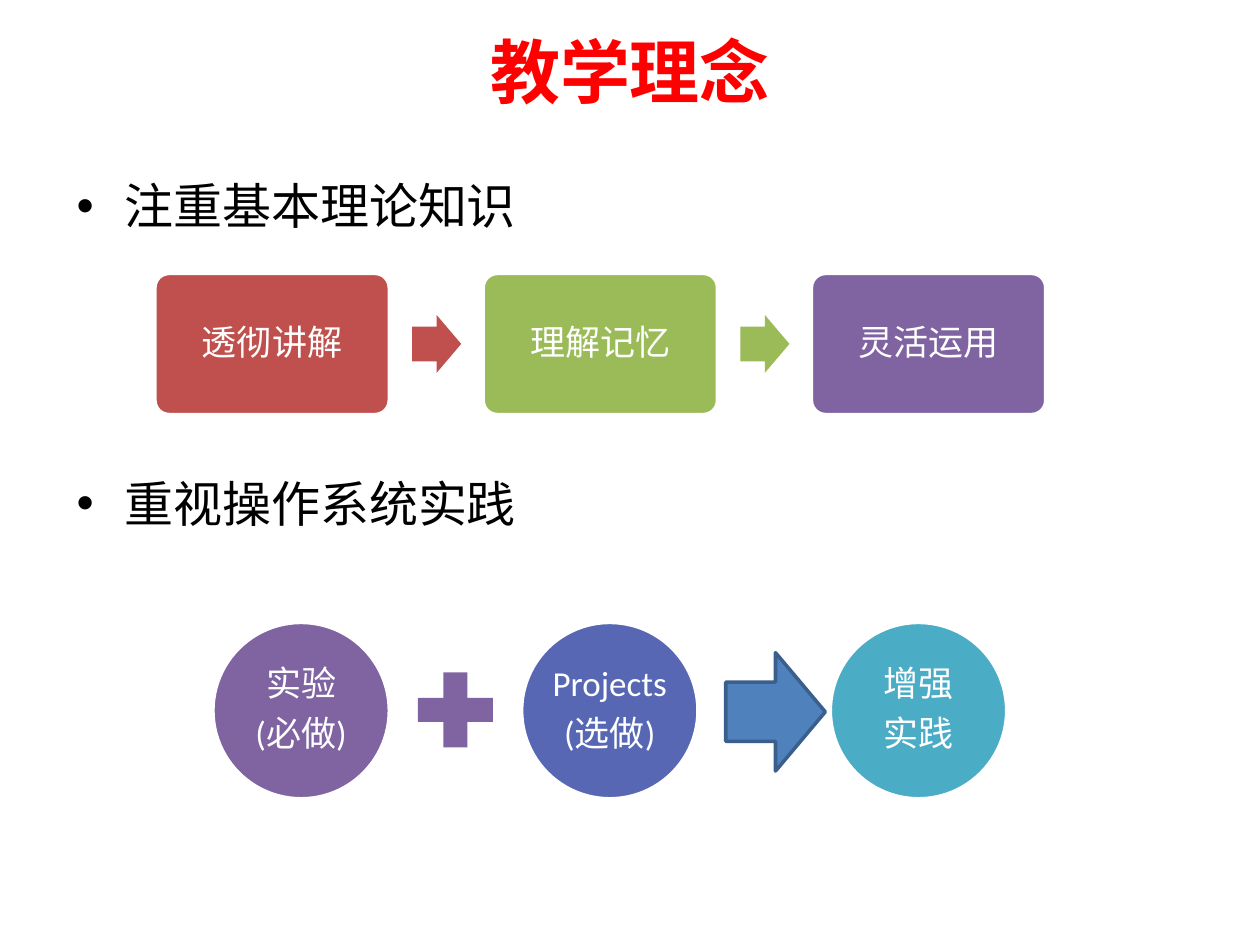
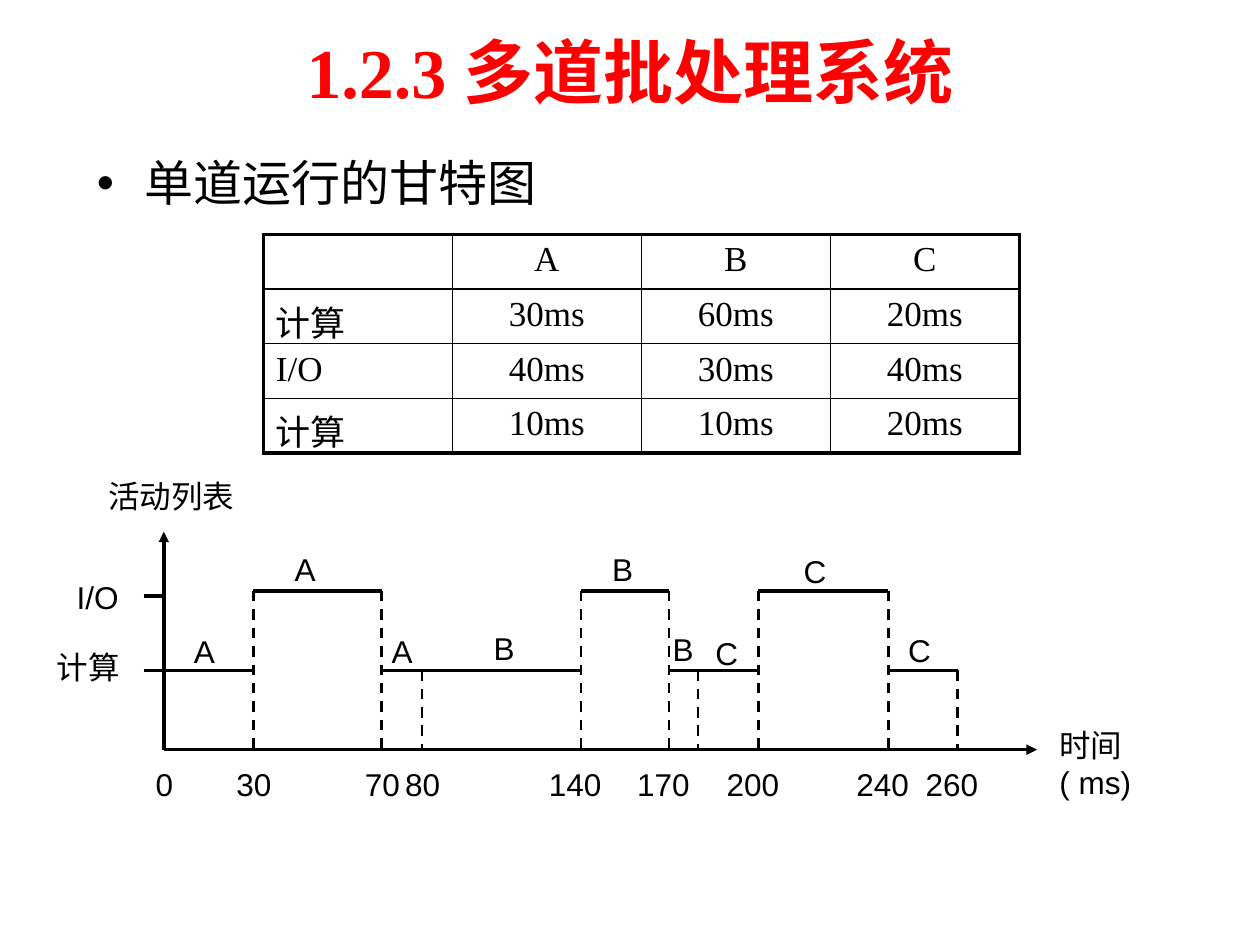
from lxml.etree import SubElement
from pptx import Presentation
from pptx.dml.color import RGBColor
from pptx.enum.dml import MSO_LINE
from pptx.enum.shapes import MSO_CONNECTOR, MSO_SHAPE
from pptx.enum.text import MSO_ANCHOR, PP_ALIGN
from pptx.oxml.ns import qn
from pptx.util import Inches, Pt

BLACK, WHITE, RED = "000000", "FFFFFF", "FF0000"
BRICK, GREEN, PURPLE, INDIGO, TEAL = "C0504D", "9BBB59", "8064A2", "5767B4", "4BACC6"
BLUE, NAVY = "4F81BD", "3A5F8C"
CJK_FONT, SERIF = "Noto Sans CJK SC", "Times New Roman"

TITLE = dict(size=40, font=SERIF, color=RED, bold=True, align=PP_ALIGN.CENTER)
BULLET = dict(size=28, bullet=True, spacing=1.25)
DIAGRAM = dict(size=20, font="Calibri", color=WHITE, align=PP_ALIGN.CENTER,
               spacing=0.9, after=7)


def write(frame, text, size=18, font="Arial", color=BLACK, bold=False,
          align=PP_ALIGN.LEFT, spacing=1.0, before=0, after=0, bullet=False):
    """Fill a text frame, one paragraph for each line of text."""
    for index, line_text in enumerate(text.split("\n")):
        para = frame.add_paragraph() if index else frame.paragraphs[0]
        para.alignment, para.line_spacing = align, spacing
        para.space_before = Pt(before if index else 0)
        para.space_after = Pt(after)
        if bullet:
            properties = para._p.get_or_add_pPr()
            properties.set("marL", str(Inches(0.38)))
            properties.set("indent", str(Inches(-0.38)))
            SubElement(properties, qn("a:buFont")).set("typeface", "Arial")
            SubElement(properties, qn("a:buChar")).set("char", "•")
        span = para.add_run()
        span.text = line_text
        span.font.size, span.font.name, span.font.bold = Pt(size), font, bold
        span.font.color.rgb = RGBColor.from_string(color)
        SubElement(span._r.get_or_add_rPr(), qn("a:ea")).set("typeface", CJK_FONT)


def add_box(page, left, top, width, height, kind=None, fill=None, line=None,
            inset=None, adjustments=()):
    """Add a preset shape, or a text box without a kind; return its text frame."""
    area = [Inches(length) for length in (left, top, width, height)]
    if kind is None:
        box = page.shapes.add_textbox(*area)
    else:
        box = page.shapes.add_shape(kind, *area)
        box.shadow.inherit = False
        box.fill.solid()
        box.fill.fore_color.rgb = RGBColor.from_string(fill)
        if line:
            box.line.color.rgb = RGBColor.from_string(line)
            box.line.width = Pt(2)
        else:
            box.line.fill.background()
        for index, value in enumerate(adjustments):
            box.adjustments[index] = value
    frame = box.text_frame
    frame.word_wrap = True
    if inset is not None:
        frame.margin_left = frame.margin_right = Inches(inset)
        frame.margin_top = frame.margin_bottom = Inches(inset)
    return frame


deck = Presentation()
deck.slide_width, deck.slide_height = Inches(10), Inches(7.5)
pages = []
for title in ("教学理念", "1.2.3 多道批处理系统"):
    page = deck.slides.add_slide(deck.slide_layouts[6])
    frame = add_box(page, 0.5, 0.05, 9, 1.02)
    frame.vertical_anchor = MSO_ANCHOR.MIDDLE
    write(frame, title, **TITLE)
    pages.append(page)
ideas, gantt = pages

# Teaching ideas: theory steps, then practice circles
write(add_box(ideas, 0.51, 1.23, 9, 4.65), "注重基本理论知识\n重视操作系统实践",
      font=CJK_FONT, before=128, **BULLET)

steps = [("透彻讲解", BRICK), ("理解记忆", GREEN), ("灵活运用", PURPLE)]
for index, (label, color) in enumerate(steps):
    left = 1.23 + 2.605 * index
    frame = add_box(ideas, left, 2.17, 1.86, 1.12, MSO_SHAPE.ROUNDED_RECTANGLE,
                    color, WHITE, inset=0.08, adjustments=[0.1])
    frame.vertical_anchor = MSO_ANCHOR.MIDDLE
    write(frame, label, **DIAGRAM)
    if index < len(steps) - 1:
        add_box(ideas, left + 2.04, 2.5, 0.39, 0.46, MSO_SHAPE.RIGHT_ARROW,
                color, adjustments=[0.6, 0.5])

practice = [("实验\n(必做)", PURPLE), ("Projects\n(选做)", INDIGO), ("增强\n实践", TEAL)]
for index, (label, color) in enumerate(practice):
    frame = add_box(ideas, 1.69 + 2.45 * index, 4.94, 1.4, 1.4, MSO_SHAPE.OVAL,
                    color, WHITE, inset=0)
    frame.vertical_anchor = MSO_ANCHOR.MIDDLE
    write(frame, label, **DIAGRAM)
add_box(ideas, 3.21, 5.23, 0.81, 0.81, MSO_SHAPE.MATH_PLUS, PURPLE)
add_box(ideas, 5.76, 5.18, 0.79, 0.94, MSO_SHAPE.RIGHT_ARROW, BLUE, NAVY)

# Table of job times
write(add_box(gantt, 0.67, 1.07, 8.98, 0.75), "单道运行的甘特图",
      font=SERIF, **{**BULLET, "spacing": 1.2})

rows = [
    ("", "A", "B", "C"),
    ("计算", "30ms", "60ms", "20ms"),
    ("I/O", "40ms", "30ms", "40ms"),
    ("计算", "10ms", "10ms", "20ms"),
]
table = gantt.shapes.add_table(4, 4, Inches(2.09), Inches(1.86),
                               Inches(6), Inches(1.28)).table
table.first_row = table.horz_banding = False
for column in table.columns:
    column.width = Inches(1.5)
for row_index, values in enumerate(rows):
    for column_index, value in enumerate(values):
        cell = table.cell(row_index, column_index)
        outer_edges = {"lnL": column_index == 0, "lnR": column_index == 3,
                       "lnT": row_index == 0, "lnB": row_index == 3}
        for edge, is_outer in outer_edges.items():
            border = SubElement(cell._tc.get_or_add_tcPr(), qn("a:" + edge))
            border.set("w", str(Pt(2.25 if is_outer else 1)))
            fill = SubElement(border, qn("a:solidFill"))
            SubElement(fill, qn("a:srgbClr")).set("val", BLACK)
        cell.fill.background()
        if value:
            write(cell.text_frame, value, size=20, font=SERIF,
                  align=PP_ALIGN.CENTER if column_index else PP_ALIGN.LEFT)

# Gantt chart
IO, CPU, AXIS, ORIGIN = 4.69, 5.32, 5.95, 1.3
time_x = {0: ORIGIN, 30: 2.01, 70: 3.03, 80: 3.35, 140: 4.61, 170: 5.31,
          180: 5.54, 200: 6.02, 240: 7.05, 260: 7.6}
activities = [(0, 30, CPU), (30, 70, IO), (70, 140, CPU), (140, 170, IO),
              (170, 200, CPU), (200, 240, IO), (240, 260, CPU)]

# Each line: start x, start y, end x, end y, style
lines = [(ORIGIN, AXIS, 8.23, AXIS, "arrow"), (ORIGIN, AXIS, ORIGIN, 4.22, "arrow")]
lines += [(1.14, y, ORIGIN, y, "solid") for y in (4.73, CPU)]
lines += [(time_x[start], y, time_x[end], y, "solid") for start, end, y in activities]
lines += [(x, CPU if time in (80, 180, 260) else IO, x, AXIS, "dash")
          for time, x in time_x.items() if time]
for *ends, style in lines:
    connector = gantt.shapes.add_connector(MSO_CONNECTOR.STRAIGHT,
                                           *[Inches(end) for end in ends])
    connector.line.color.rgb = RGBColor.from_string(BLACK)
    connector.line.width = Pt(1.5 if style == "dash" else 2)
    if style == "dash":
        connector.line.dash_style = MSO_LINE.DASH
    if style == "arrow":
        SubElement(connector.line._get_or_add_ln(), qn("a:tailEnd")).set("type", "triangle")
    SubElement(connector._element.spPr, qn("a:effectLst"))

for time, x in time_x.items():
    if time != 180:
        shift = 0.35 if time < 100 else 0.4
        write(add_box(gantt, x - shift, 6.02, 0.71, 0.4), str(time), align=PP_ALIGN.CENTER)

job_labels = [("A", 1.44, 4.97), ("A", 2.24, 4.32), ("A", 3.01, 4.97),
              ("B", 3.82, 4.94), ("B", 4.76, 4.32), ("B", 5.24, 4.95),
              ("C", 5.58, 4.98), ("C", 6.28, 4.33), ("C", 7.11, 4.96)]
for job, left, top in job_labels:
    write(add_box(gantt, left, top, 0.36, 0.4), job)

axis_labels = [("时间( ms)", 8.31, 5.71, 1.22), ("I/O", 0.51, 4.54, 0.65),
               ("计算", 0.35, 5.09, 0.79), ("活动列表", 0.76, 3.74, 1.22)]
for label, left, top, width in axis_labels:
    write(add_box(gantt, left, top, width, 0.4), label)

deck.save("out.pptx")
